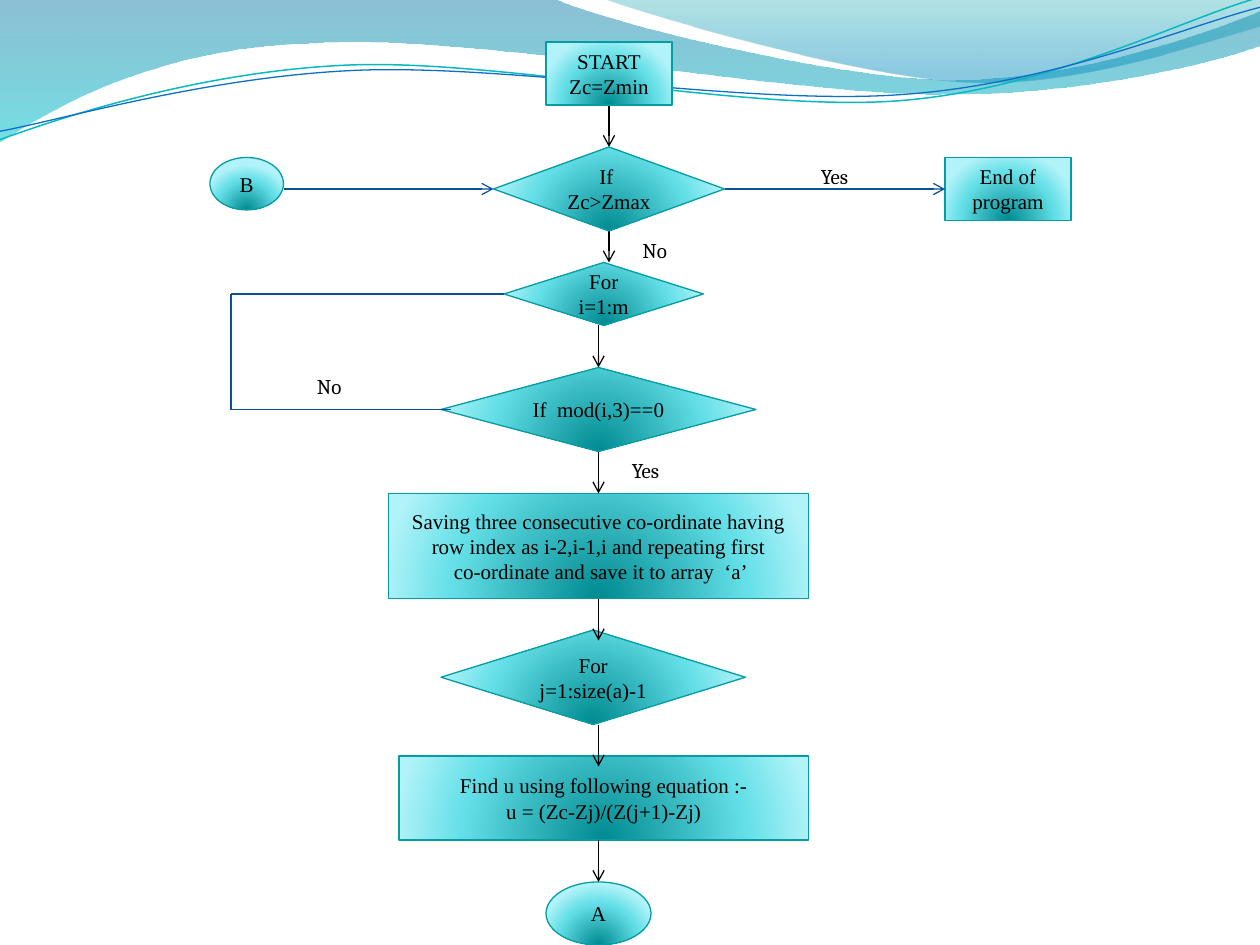
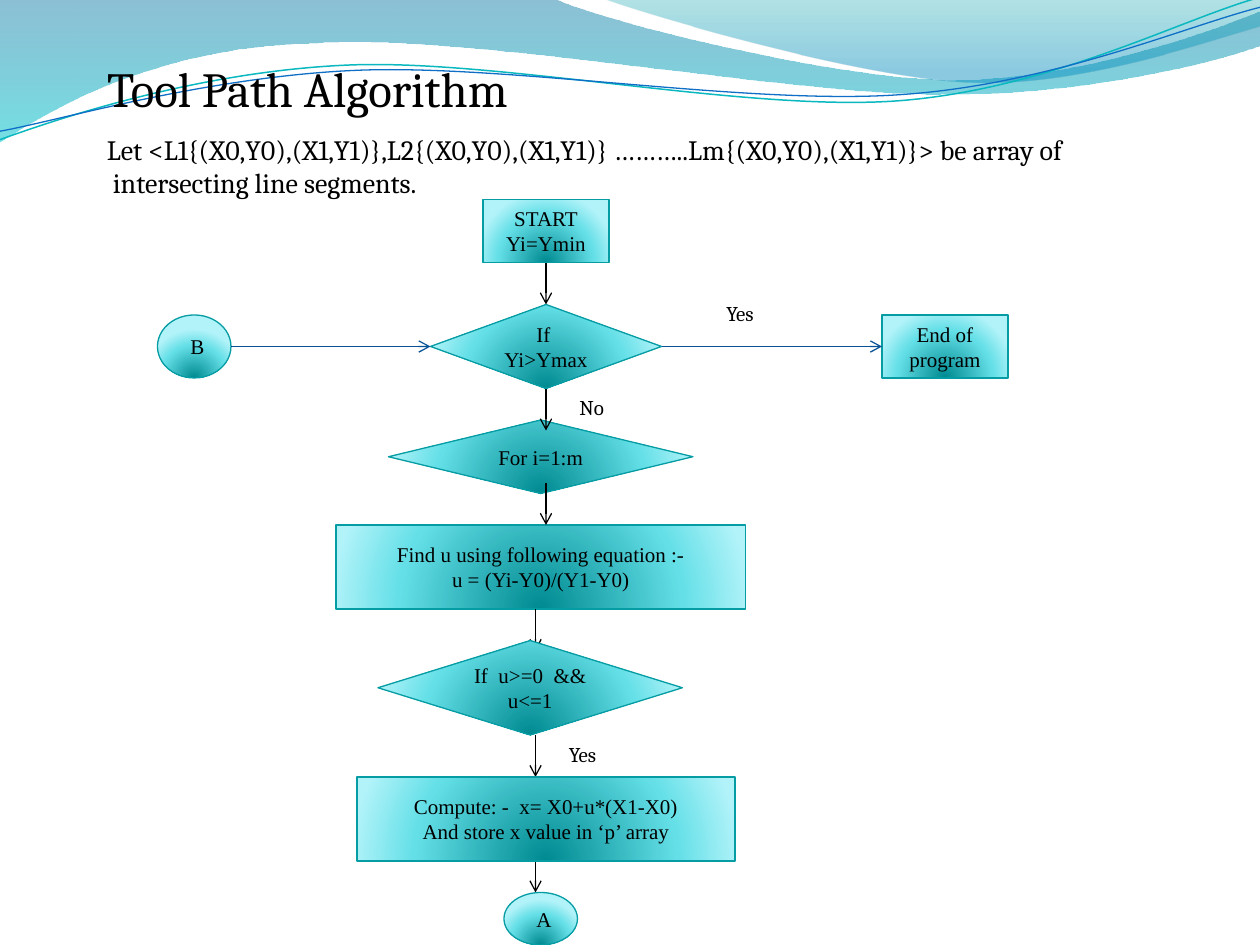
from lxml.etree import SubElement
from pptx import Presentation
from pptx.dml.color import RGBColor
from pptx.enum.shapes import MSO_CONNECTOR, MSO_SHAPE
from pptx.enum.text import MSO_ANCHOR, MSO_AUTO_SIZE, PP_ALIGN
from pptx.oxml import parse_xml
from pptx.oxml.ns import nsdecls, qn
from pptx.util import Pt

UNIT = 7620
BLACK = RGBColor(0x00, 0x00, 0x00)
NAVY = RGBColor(0x09, 0x52, 0x95)
TEAL = RGBColor(0x06, 0x9C, 0xA3)
DEEP = RGBColor(0x00, 0x8A, 0x91)
AQUA = RGBColor(0x64, 0xDF, 0xE7)
PALE = RGBColor(0xB1, 0xF3, 0xF9)
OCEAN = RGBColor(0x00, 0x74, 0xA1)
CYAN = RGBColor(0x00, 0xC6, 0xCF)
SEA = RGBColor(0x00, 0xA1, 0xA9)
SKY = RGBColor(0x00, 0x8B, 0xBF)
MINT = RGBColor(0x0A, 0xB8, 0xBF)
BLUE = RGBColor(0x0F, 0x6F, 0xC6)

BOX, OVAL, TEST = MSO_SHAPE.RECTANGLE, MSO_SHAPE.OVAL, MSO_SHAPE.FLOWCHART_DECISION
GLOSS = [(0, DEEP, 100), (68, AQUA, 100), (100, PALE, 100)]
RADIAL = '<a:path path="circle"><a:fillToRect l="50000" t="130000" r="50000" b="-30000"/></a:path>'
DOWN = '<a:lin ang="5400000" scaled="0"/>'
NODE = {"name": "Times New Roman", "size": Pt(12)}
LABEL = {"name": "Cambria", "size": Pt(12)}
INTRO = {"name": "Cambria", "size": Pt(16)}
TITLE = {"name": "Cambria", "size": Pt(28)}
TOP = {"word_wrap": True, "auto_size": MSO_AUTO_SIZE.NONE, "vertical_anchor": MSO_ANCHOR.TOP}

BANDS = [
    ([(0, 0), (528, -1), (571, 20, 797, 76, 910, 76), (1024, 76, 1150, 31, 1200, 11),
      (1201, 43), (1180, 53, 1044, 91, 895, 90), (744, 90, 458, 34, 308, 41),
      (155, 43, 55, 100, -1, 136), (0, 0)], [(0, OCEAN, 45), (100, CYAN, 55)]),
    ([(575, -1), (611, 13, 818, 74, 923, 78), (1027, 83, 1153, 38, 1200, 25),
      (1200, 0), (575, -1)], [(0, SEA, 30), (80, SKY, 45)]),
]
WAVES = [
    ([(0, 133), (58, 112, 190, 68, 332, 62), (474, 56, 712, 107, 856, 96),
      (1000, 85, 1126, 18, 1198, -2)], MINT, 0.85),
    ([(0, 125), (56, 115, 197, 73, 340, 67), (484, 61, 716, 101, 860, 90),
      (1003, 80, 1129, 25, 1200, 7)], BLUE, 0.75),
]


def px(*vals):
    """Turn px lengths into EMU."""
    return [val * UNIT for val in vals]


def style(item, form):
    """Set each attribute named in a dict of format values."""
    for name, val in form.items():
        setattr(item, name, val)


def blend(shape, stops, kind):
    """Fill a shape with a gradient of (place, colour, opacity) stops."""
    marks = "".join(
        f'<a:gs pos="{pos * 1000}"><a:srgbClr val="{tone}">'
        f'<a:alpha val="{alpha * 1000}"/></a:srgbClr></a:gs>'
        for pos, tone, alpha in stops)
    shape.fill.gradient()
    props = shape.element.spPr
    props.replace(props.find(qn("a:gradFill")), parse_xml(
        f'<a:gradFill {nsdecls("a")} rotWithShape="1"><a:gsLst>{marks}</a:gsLst>{kind}</a:gradFill>'))


def stroke(item, tone, width=0.75):
    """Give a shape or connector its line."""
    item.line.color.rgb = tone
    item.line.width = Pt(width)


def write(frame, text, form, align=PP_ALIGN.LEFT):
    """Write lines of text as paragraphs of one format."""
    frame.text = text
    for para in frame.paragraphs:
        para.alignment = align
        style(para.font, form)
        para.font.color.rgb = BLACK


def node(slide, kind, text, left, top, width, height, inset=12):
    """Add a glossy flowchart node."""
    shape = slide.shapes.add_shape(kind, *px(left, top, width, height))
    blend(shape, GLOSS, RADIAL)
    stroke(shape, TEAL)
    shape.shadow.inherit = False
    shape.text_frame.margin_left = inset * UNIT
    write(shape.text_frame, text, NODE, PP_ALIGN.CENTER)


def nodes(slide, *items):
    """Add nodes from back to front."""
    for item in items:
        node(slide, *item)


def note(slide, text, left, top, width=60, height=36, form=LABEL):
    """Add a plain text box."""
    frame = slide.shapes.add_textbox(*px(left, top, width, height)).text_frame
    style(frame, TOP)
    write(frame, text, form)


def link(slide, *ends, tone=NAVY, arrow=True):
    """Join two points with a line or an arrow."""
    line = slide.shapes.add_connector(MSO_CONNECTOR.STRAIGHT, *px(*ends))
    stroke(line, tone)
    props = line.element.spPr
    if arrow:
        SubElement(props.find(qn("a:ln")), qn("a:tailEnd"), type="arrow")
    SubElement(props, qn("a:effectLst"))


def drops(slide, left, *tops):
    """Add short black arrows down one column."""
    for top in tops:
        link(slide, left, top, left, top + 40, tone=BLACK)


def curve(slide, route, close):
    """Add a freeform whose six-number parts are Bezier curves."""
    knots = [px(*part[i:i + 2]) for part in route for i in range(0, len(part), 2)]
    pen = slide.shapes.build_freeform(*knots[0])
    pen.add_line_segments(knots[1:], close=close)
    shape = pen.convert_to_shape()
    shape.shadow.inherit = False
    legs = iter(list(shape.element.spPr.iter(qn("a:lnTo"))))
    for part in route[1:]:
        leg = next(legs)
        if len(part) == 6:
            bend = parse_xml(f'<a:cubicBezTo {nsdecls("a")}/>')
            leg.addprevious(bend)
            for side in (leg, next(legs), next(legs)):
                bend.append(side[0])
                side.getparent().remove(side)
    return shape


def header(deck, slide):
    """Draw the bands and waves, then move them to the slide master."""
    forms = []
    for route, stops in BANDS:
        form = curve(slide, route, True)
        blend(form, stops, DOWN)
        form.line.fill.background()
        forms.append(form)
    for route, tone, width in WAVES:
        form = curve(slide, route, False)
        form.fill.background()
        stroke(form, tone, width)
        forms.append(form)
    tree = deck.slide_master.element.cSld.spTree
    for spot, form in enumerate(forms):
        form.element.nvSpPr.cNvPr.set("id", str(90 + spot))
        tree.insert(2 + spot, form.element)


def levels(slide):
    """Build the flowchart that steps through Z levels."""
    nodes(
        slide,
        (BOX, "Saving three consecutive co-ordinate having row index as i-2,i-1,i and repeating first\n"
              " co-ordinate and save it to array  ‘a’", 370, 470, 400, 100),
        (BOX, "Find u using following equation :-\nu = (Zc-Zj)/(Z(j+1)-Zj)", 380, 720, 390, 80),
        (TEST, "For j=1:size(a)-1", 420, 600, 290, 90))
    drops(slide, 580, 100, 210)
    drops(slide, 570, 310, 430, 570, 690, 800)
    nodes(
        slide,
        (TEST, "For i=1:m", 480, 250, 190, 60),
        (TEST, "If  mod(i,3)==0", 420, 350, 300, 80),
        (OVAL, "A", 520, 840, 100, 60),
        (TEST, "If  Zc>Zmax", 470, 140, 220, 80),
        (BOX, "START\nZc=Zmin", 520, 40, 120, 60),
        (BOX, "End of program", 900, 150, 120, 60),
        (OVAL, "B", 200, 150, 70, 50))
    link(slide, 270, 180, 470, 180)
    link(slide, 690, 180, 900, 180)
    loop = [(480, 280), (220, 280), (220, 390), (430, 390)]
    for start, end in zip(loop, loop[1:]):
        link(slide, *start, *end, arrow=False)
    for item in [("Yes", 770, 150), ("No", 600, 220), ("No", 290, 350), ("Yes", 590, 430)]:
        note(slide, *item)


def tool(slide):
    """Build the tool path slide."""
    title = slide.shapes.title
    style(title, dict(zip(("left", "top", "width", "height"), px(90, 50, 440, 68))))
    style(title.text_frame, TOP)
    write(title.text_frame, "Tool Path Algorithm", TITLE)
    note(slide, "Let <L1{(X0,Y0),(X1,Y1)},L2{(X0,Y0),(X1,Y1)} ………..Lm{(X0,Y0),(X1,Y1)}> be array of\n"
                " intersecting line segments.", 90, 120, 989, 77, INTRO)
    nodes(
        slide,
        (BOX, "Find u using following equation :-\nu = (Yi-Y0)/(Y1-Y0)", 320, 500, 390, 80),
        (TEST, "For i=1:m", 370, 400, 290, 70))
    drops(slide, 520, 250, 370, 460)
    drops(slide, 510, 580, 700, 810)
    nodes(
        slide,
        (TEST, "If  Yi>Ymax", 410, 290, 220, 80),
        (BOX, "START\nYi=Ymin", 460, 190, 120, 60),
        (BOX, "End of program", 840, 300, 120, 60),
        (TEST, "If  u>=0  && u<=1", 360, 610, 290, 90),
        (BOX, "Compute: -  x= X0+u*(X1-X0)\nAnd store x value in ‘p’ array", 340, 740, 360, 80),
        (OVAL, "A", 480, 850, 70, 50, 18),
        (OVAL, "B", 150, 300, 70, 60, 18))
    link(slide, 220, 330, 410, 330)
    link(slide, 630, 330, 840, 330)
    for item in [("Yes", 680, 280), ("No", 540, 370), ("Yes", 530, 700)]:
        note(slide, *item)


def main():
    """Build and save the deck."""
    deck = Presentation()
    deck.slide_width, deck.slide_height = px(1200, 900)
    only, blank = deck.slide_layouts[5], deck.slide_layouts[6]
    first = deck.slides.add_slide(blank)
    header(deck, first)
    levels(first)
    tool(deck.slides.add_slide(only))
    deck.save("out.pptx")


if __name__ == "__main__":
    main()
